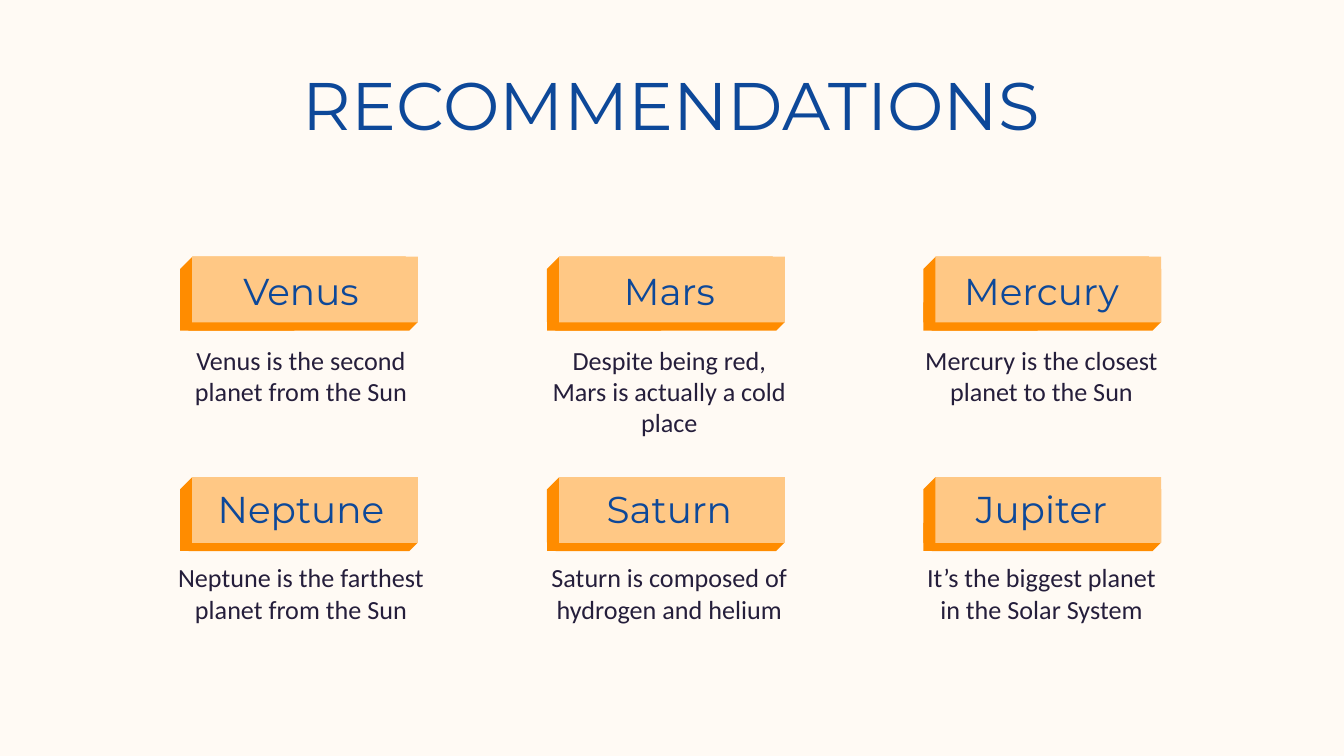
import pptx
import pptx.util
import pptx.dml.color
import pptx.enum.shapes
import pptx.enum.text

Inches = pptx.util.Inches
SHAPE = pptx.enum.shapes.MSO_SHAPE
ANCHOR = pptx.enum.text.MSO_ANCHOR

COLORS = {
    "background": "FFFAF4",
    "heading": "0D4899",
    "body": "251E3B",
    "block_side": "FF8C00",
    "block_face": "FFC885",
}

# Left edges of (block, text) and top edges of (block, text)
COLUMNS = [(1.34, 1.2), (4.07, 3.94), (6.87, 6.71)]
ROWS = [(1.91, 1.94), (3.55, 3.56)]
TEXT_WIDTH = 2.08

# Name, heading width and fact
PLANETS = [
    [
        ("Venus", TEXT_WIDTH, "Venus is the second planet from the Sun"),
        ("Mars", 1.29, "Despite being red, Mars is actually a cold place"),
        ("Mercury", 1.64, "Mercury is the closest planet to the Sun"),
    ],
    [
        ("Neptune", TEXT_WIDTH, "Neptune is the farthest planet from the Sun"),
        ("Saturn", TEXT_WIDTH, "Saturn is composed of hydrogen and helium"),
        ("Jupiter", TEXT_WIDTH, "It’s the biggest planet in the Solar System"),
    ],
]


def rgb(name):
    return pptx.dml.color.RGBColor.from_string(COLORS[name])


def write_text(sp, text, size, font, color, anchor=ANCHOR.TOP):
    tf = sp.text_frame
    tf.word_wrap = True
    tf.auto_size = pptx.enum.text.MSO_AUTO_SIZE.NONE
    tf.vertical_anchor = anchor
    tf.margin_left = tf.margin_right = Inches(0.1)
    tf.margin_top = tf.margin_bottom = Inches(0.1)
    tf.text = text
    p = tf.paragraphs[0]
    p.alignment = pptx.enum.text.PP_ALIGN.CENTER
    r = p.runs[0]
    r.font.size = pptx.util.Pt(size)
    r.font.name = font
    r.font.color.rgb = rgb(color)


def add_title(s, left, top, width, height):
    sp = s.shapes.title
    sp.left, sp.top = Inches(left), Inches(top)
    sp.width, sp.height = Inches(width), Inches(height)
    write_text(sp, "RECOMMENDATIONS", 36, "Montserrat", "heading")


def add_part(group, kind, left, top, width, height, color):
    sp = group.shapes.add_shape(
        kind, Inches(left), Inches(top), Inches(width), Inches(height))
    sp.shadow.inherit = False
    sp.fill.solid()
    sp.fill.fore_color.rgb = rgb(color)
    sp.line.fill.background()
    return sp


def add_block(s, left, top):
    """Add a bar that looks raised: snipped side, squared corner, front face."""
    group = s.shapes.add_group_shape()
    side = add_part(group, SHAPE.SNIP_2_SAME_RECTANGLE,
                    left, top, 1.77, 0.55, "block_side")
    side.adjustments[0] = 0.167
    side.adjustments[1] = 0.117
    add_part(group, SHAPE.RECTANGLE,
             left, top + 0.34, 0.85, 0.21, "block_side")
    add_part(group, SHAPE.RECTANGLE,
             left + 0.09, top, 1.68, 0.49, "block_face")


def add_planet_text(s, left, top, name, name_width, fact):
    """Add a heading centred above a fact that fills the text width."""
    name_left = left + (TEXT_WIDTH - name_width) / 2
    heading = s.shapes.add_textbox(
        Inches(name_left), Inches(top), Inches(name_width), Inches(0.49))
    write_text(heading, name, 20, "Montserrat", "heading", ANCHOR.BOTTOM)
    body = s.shapes.add_textbox(
        Inches(left), Inches(top + 0.52), Inches(TEXT_WIDTH), Inches(0.92))
    write_text(body, fact, 14, "Calibri", "body")


def main():
    prs = pptx.Presentation()
    prs.slide_width = Inches(10)
    prs.slide_height = prs.slide_width * 9 // 16
    s = prs.slides.add_slide(prs.slide_layouts.get_by_name("Title Only"))
    s.background.fill.solid()
    s.background.fill.fore_color.rgb = rgb("background")

    add_title(s, 1.03, 0.37, 7.93, 0.63)
    for (block_top, text_top), planets in zip(ROWS, PLANETS):
        for (block_left, text_left), planet in zip(COLUMNS, planets):
            add_block(s, block_left, block_top)
            add_planet_text(s, text_left, text_top, *planet)

    prs.save("out.pptx")


if __name__ == "__main__":
    main()
